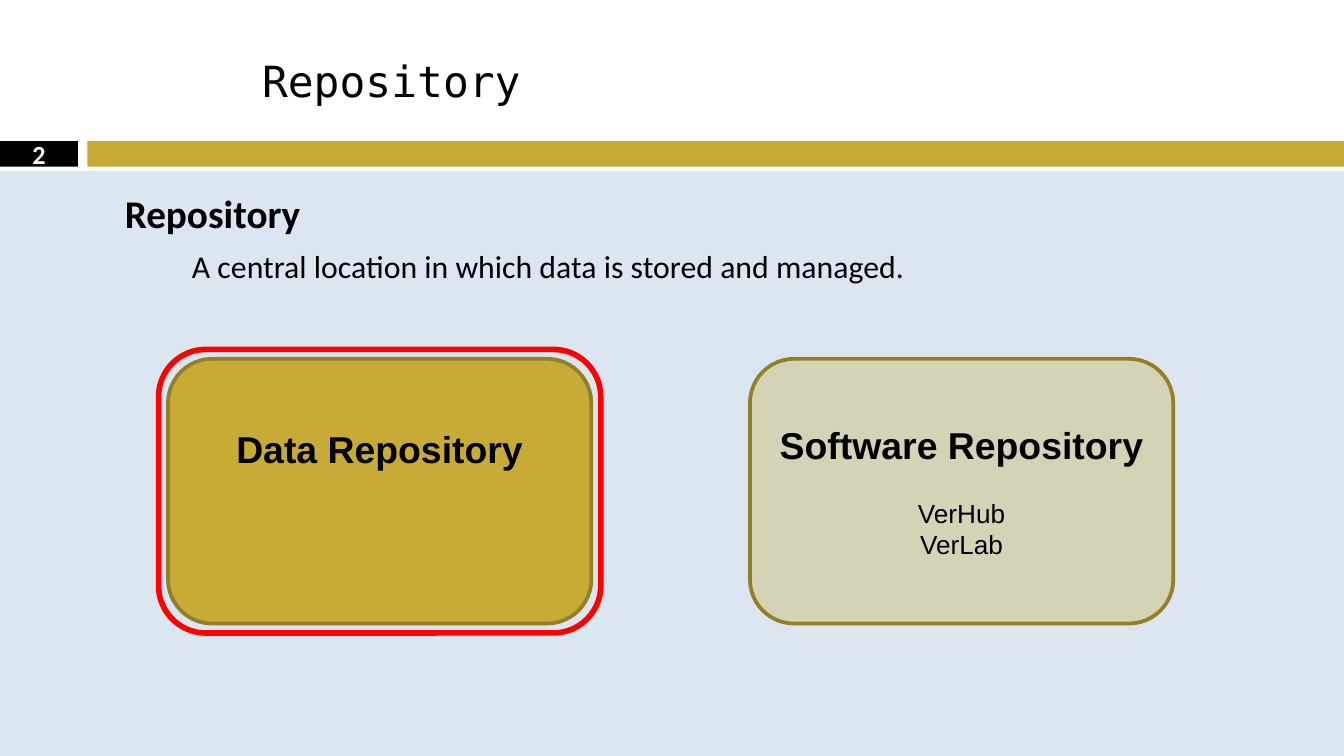
from dataclasses import dataclass
from typing import Optional

from lxml.etree import SubElement
from pptx import Presentation
from pptx.dml.color import RGBColor
from pptx.enum.shapes import MSO_SHAPE
from pptx.enum.text import MSO_ANCHOR, MSO_AUTO_SIZE, PP_ALIGN
from pptx.oxml.ns import qn
from pptx.util import Inches, Pt

COLORS = {
    "sky": "DBE6F1",
    "white": "FFFFFF",
    "black": "000000",
    "gold": "C8AB37",
    "bronze": "947F29",
    "red": "FF0000",
}
WIDTH, HEIGHT = Inches(10), Inches(5.625)
CELL = WIDTH / 100


@dataclass(frozen=True)
class Area:
    column: float
    row: float
    columns: float
    rows: float

    def lengths(self) -> tuple[int, ...]:
        return tuple(round(n * CELL) for n in (self.column, self.row, self.columns, self.rows))

    def grown(self, margin: float) -> "Area":
        return Area(self.column - margin, self.row - margin,
                    self.columns + 2 * margin, self.rows + 2 * margin)


@dataclass(frozen=True)
class Panel:
    area: Area
    fill: Optional[str] = None
    line: Optional[str] = None
    weight: float = 0
    opacity: int = 100
    kind: MSO_SHAPE = MSO_SHAPE.RECTANGLE


@dataclass(frozen=True)
class Line:
    text: str
    size: float
    font: str = "Arial"
    bold: bool = False
    color: str = "black"
    align: PP_ALIGN = PP_ALIGN.CENTER
    before: float = 0
    indent: float = 0
    level: int = 0


def color(name: str) -> RGBColor:
    return RGBColor.from_string(COLORS[name])


def draw_panel(page, panel: Panel):
    shape = page.shapes.add_shape(panel.kind, *panel.area.lengths())
    shape.shadow.inherit = False
    if panel.fill:
        shape.fill.solid()
        shape.fill.fore_color.rgb = color(panel.fill)
        if panel.opacity < 100:
            tint = shape.fill._xPr.find(f".//{qn('a:srgbClr')}")
            SubElement(tint, qn("a:alpha"), val=str(panel.opacity * 1000))
    else:
        shape.fill.background()
    if panel.line:
        shape.line.color.rgb = color(panel.line)
        shape.line.width = Pt(panel.weight)
    else:
        shape.line.fill.background()
    return shape


def write(box, lines: list[Line], anchor: MSO_ANCHOR, side: float = 1,
          top: float = 1, bottom: float = 1) -> None:
    frame = box.text_frame
    frame.word_wrap = True
    frame.auto_size = MSO_AUTO_SIZE.NONE
    frame.vertical_anchor = anchor
    frame.margin_left = frame.margin_right = round(side * CELL)
    frame.margin_top, frame.margin_bottom = round(top * CELL), round(bottom * CELL)
    for index, line in enumerate(lines):
        para = frame.add_paragraph() if index else frame.paragraphs[0]
        para.alignment = line.align
        para.level = line.level
        para.space_before = Pt(line.before)
        properties = para._p.get_or_add_pPr()
        properties.set("marL", str(round(line.indent * CELL)))
        properties.set("indent", "0")
        span = para.add_run()
        span.text = line.text
        span.font.name = line.font
        span.font.size = Pt(line.size)
        span.font.bold = line.bold
        span.font.color.rgb = color(line.color)


def write_box(page, area: Area, lines: list[Line], anchor: MSO_ANCHOR, **margins: float) -> None:
    write(page.shapes.add_textbox(*area.lengths()), lines, anchor, **margins)


def repository_card(column: float, opacity: int = 100) -> Panel:
    return Panel(Area(column, 26.7, 31.5, 19.7), "gold", "bronze", 2, opacity,
                 MSO_SHAPE.ROUNDED_RECTANGLE)


deck = Presentation()
deck.slide_width, deck.slide_height = WIDTH, HEIGHT
page = deck.slides.add_slide(deck.slide_layouts[5])

title = page.shapes.title
title.left, title.top, title.width, title.height = Area(18.5, 1.9, 77.4, 8.1).lengths()
write(title, [Line("Repository", 23, "DejaVu Sans Mono", align=PP_ALIGN.LEFT)], MSO_ANCHOR.MIDDLE)

number_area = Area(0, 10.5, 5.8, 1.9)
for band in (
    Panel(Area(0, 12.8, 100, 43.45), "sky", "sky", 1.5),
    Panel(Area(0, 10.1, 100, 2.6), "white"),
    Panel(number_area, "black"),
    Panel(Area(6.5, 10.5, 93.5, 1.9), "gold"),
):
    draw_panel(page, band)

software = draw_panel(page, repository_card(55.8, opacity=32))
write(software, [
    Line("Software Repository", 20, bold=True),
    Line("VerHub", 14, before=16),
    Line("VerLab", 14),
], MSO_ANCHOR.MIDDLE, top=0.5, bottom=0.5)

data_card = repository_card(12.5)
data = draw_panel(page, data_card)
write(data, [Line("Data Repository", 20, bold=True)], MSO_ANCHOR.MIDDLE, top=0.5, bottom=6.9)

write_box(page, Area(6.7, 13.1, 86.8, 11.4), [
    Line("Repository", 21, "Calibri", True, align=PP_ALIGN.LEFT, before=7, indent=1.6),
    Line("A central location in which data is stored and managed.", 17, "Calibri",
         align=PP_ALIGN.LEFT, before=5.5, indent=6.6, level=1),
], MSO_ANCHOR.TOP)
write_box(page, number_area, [Line("2", 14, "Calibri", True, "white")],
          MSO_ANCHOR.MIDDLE, top=0.5, bottom=0.5)

draw_panel(page, Panel(data_card.area.grown(0.7), line="red", weight=3,
                       kind=MSO_SHAPE.ROUNDED_RECTANGLE))

deck.save("out.pptx")
